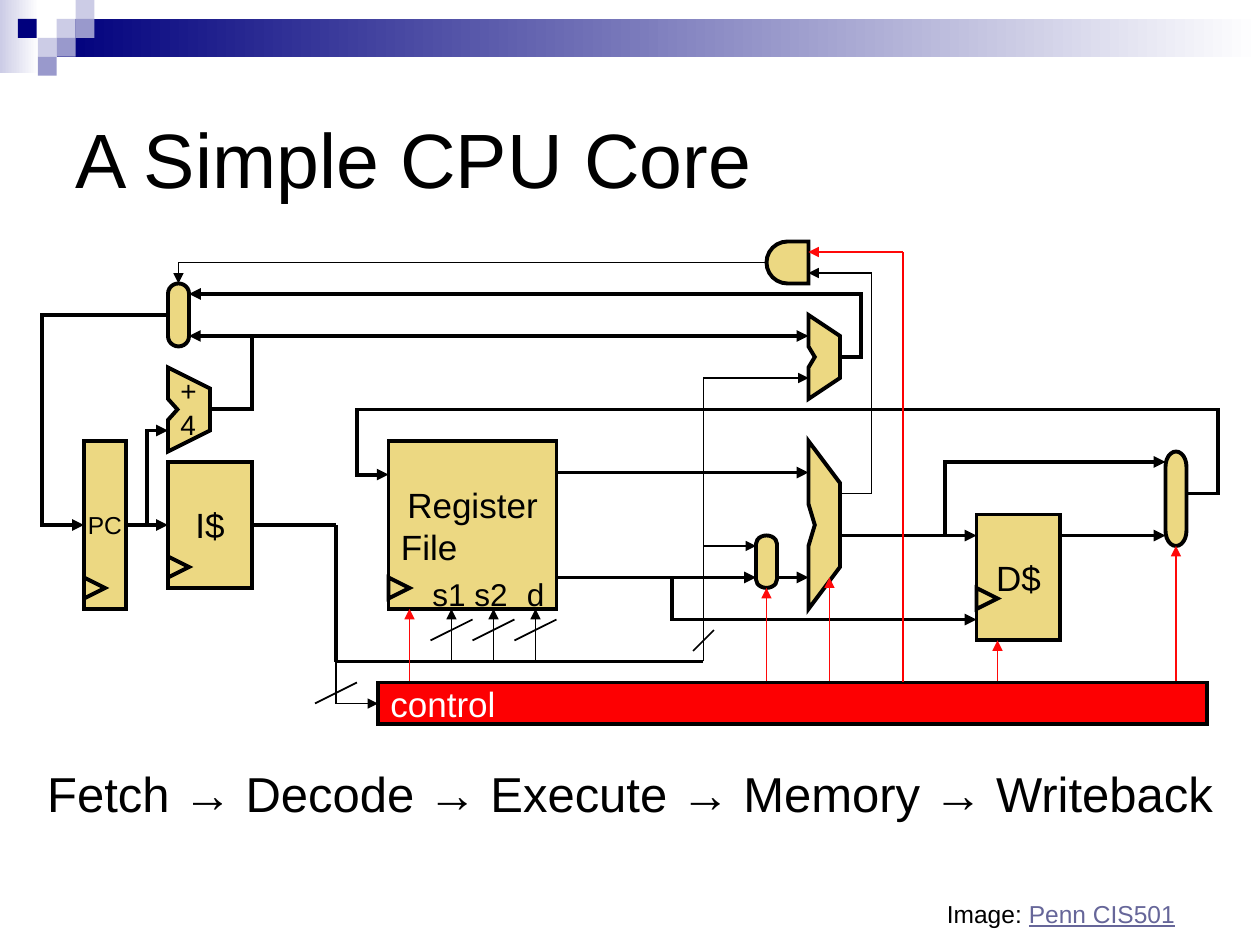
from dataclasses import dataclass

from lxml import etree
from pptx import Presentation
from pptx.dml.color import RGBColor
from pptx.enum.shapes import MSO_CONNECTOR, MSO_SHAPE
from pptx.enum.text import MSO_ANCHOR, MSO_AUTO_SIZE, PP_ALIGN
from pptx.oxml.ns import qn
from pptx.util import Pt

PX = 7620  # 120 px to the inch
RECT, TRI = MSO_SHAPE.RECTANGLE, MSO_SHAPE.ISOSCELES_TRIANGLE
PILL, GATE = MSO_SHAPE.FLOWCHART_TERMINATOR, MSO_SHAPE.FLOWCHART_DELAY
STRAIGHT = MSO_CONNECTOR.STRAIGHT
LEFT, MID = PP_ALIGN.LEFT, PP_ALIGN.CENTER
TOP, CENTRE = MSO_ANCHOR.TOP, MSO_ANCHOR.MIDDLE
GROW = MSO_AUTO_SIZE.SHAPE_TO_FIT_TEXT
BLACK, WHITE, GOLD = "000000", "FFFFFF", "ECD882"
RED, BAR, LINK = "FF0909", "FD0002", "666699"
NAVY, LILAC, PALE = "00007D", "9999CC", "CCCCE6"
THICK, THIN = 2.25, 1


@dataclass
class Run:
    text: str
    color: str = BLACK
    under: bool = False


@dataclass
class Line:
    runs: list[Run]
    align: int = LEFT


@dataclass
class Block:
    box: tuple[int, int, int, int]
    size: int
    lines: list[Line]
    fill: str = GOLD


@dataclass
class Wire:
    dots: list[tuple[int, int]]
    width: float = THICK
    color: str = BLACK
    head: bool = False
    tail: bool = True


deck = Presentation()
deck.slide_width, deck.slide_height = 1200 * PX, 900 * PX
shapes = deck.slides.add_slide(deck.slide_layouts[6]).shapes


def rgb(code: str) -> RGBColor:
    return RGBColor.from_string(code)


def stroke(part, color: str, width: float, head=False, tail=False) -> None:
    part.line.color.rgb = rgb(color)
    part.line.width = Pt(width)
    ln = part._element.find(".//" + qn("a:ln"))
    etree.SubElement(ln, qn("a:miter"), lim="800000")
    for tag, shown in (("a:headEnd", head), ("a:tailEnd", tail)):
        if shown:
            etree.SubElement(ln, qn(tag), type="triangle")


def write(part, size: int, lines: list[Line], anchor=CENTRE, wrap=False) -> None:
    frame = part.text_frame
    frame.word_wrap, frame.vertical_anchor = wrap, anchor
    for i, line in enumerate(lines):
        para = frame.add_paragraph() if i else frame.paragraphs[0]
        para.alignment = line.align
        for item in line.runs:
            run = para.add_run()
            run.text = item.text
            run.font.name, run.font.size = "Arial", Pt(size)
            run.font.color.rgb = rgb(item.color)
            if item.under:
                run.font.underline = True


def label(box, size: int, lines: list[Line], anchor=TOP, wrap=False) -> None:
    part = shapes.add_textbox(*(v * PX for v in box))
    write(part, size, lines, anchor, wrap)
    if anchor == TOP:
        part.text_frame.auto_size = GROW


def shape(kind, box, fill: str, edge=True, turn=False):
    x, y, w, h = box
    if turn:  # the box is as seen after a quarter turn
        x, y, w, h = x + (w - h) / 2, y + (h - w) / 2, h, w
    part = shapes.add_shape(kind, *(int(v * PX) for v in (x, y, w, h)))
    part.rotation = 90 if turn else 0
    part.shadow.inherit = False
    part.fill.solid()
    part.fill.fore_color.rgb = rgb(fill)
    if edge:
        stroke(part, BLACK, THICK)
    else:
        part.line.fill.background()
    return part


def fade(box, start: str) -> None:
    part = shape(RECT, box, start, edge=False)
    part.fill.gradient()
    part.fill.gradient_angle = 0
    for stop, code in zip(part.fill.gradient_stops, (start, WHITE)):
        stop.color.rgb = rgb(code)


def outline(dots, close: bool):
    pen = shapes.build_freeform(*dots[0], scale=PX)
    pen.add_line_segments(dots[1:], close=close)
    part = pen.convert_to_shape()
    part.shadow.inherit = False
    return part


def adder(x: int, y: int, w: int, h: int, dip: int) -> None:
    cuts = ((0, 0), (0, 3), (dip, 4), (0, 5), (0, 8), (w, 6), (w, 2))
    part = outline([(x + dx, y + h * n // 8) for dx, n in cuts], True)
    part.fill.solid()
    part.fill.fore_color.rgb = rgb(GOLD)
    stroke(part, BLACK, THICK)


def draw(wire: Wire) -> None:
    if len(wire.dots) == 2:
        ends = [v * PX for dot in wire.dots for v in dot]
        part = shapes.add_connector(STRAIGHT, *ends)
    else:
        part = outline(wire.dots, False)
        part.fill.background()
    stroke(part, wire.color, wire.width, wire.head, wire.tail)
    if len(wire.dots) == 2:
        etree.SubElement(part._element.spPr, qn("a:effectLst"))


def block(item: Block) -> None:
    write(shape(RECT, item.box, item.fill), item.size, item.lines)


# Banner
fade((0, 0, 37, 70), PALE)
fade((54, 18, 1146, 36), NAVY)
for x, y, code in ((54, 18, PALE), (72, 0, PALE), (72, 18, LILAC), (36, 36, PALE),
                   (17, 18, NAVY), (54, 36, LILAC), (36, 54, LILAC)):
    shape(RECT, (x, y, 18, 18), code, edge=False)

# Title, credit and stages
label((60, 60, 1080, 180), 44, [Line([Run("A Simple CPU Core")])], CENTRE, True)
label((890, 850, 310, 41), 14,
      [Line([Run("Image: "), Run("Penn CIS501", LINK, True)])], wrap=True)
label((0, 721, 1200, 68), 28,
      [Line([Run("Fetch → Decode → Execute → Memory → Writeback")], MID)], wrap=True)

# Storage blocks, each with a clock mark
for item, tick in (
    (Block((80, 420, 40, 160), 14, [Line([Run("PC")], MID)]), 550),
    (Block((160, 440, 80, 120), 20, [Line([Run("I$")], MID)]), 530),
    (Block((370, 420, 160, 160), 20,
           [Line([Run("Register")], MID), Line([Run("File")])]), 550),
    (Block((930, 490, 80, 120), 20, [Line([Run("D$")], MID)]), 560),
):
    block(item)
    shape(TRI, (item.box[0], tick, 20, 20), GOLD, turn=True)

# Adders, selectors and the gate
for spot in ((770, 420, 30, 160, 6), (160, 350, 40, 80, 9), (770, 300, 30, 80, 6)):
    adder(*spot)
for box in ((720, 510, 20, 50), (1110, 430, 20, 90), (160, 270, 20, 60)):
    shape(PILL, box, GOLD, turn=True)
gate = shape(GATE, (730, 230, 40, 40), GOLD)
gate._element.spPr.find(qn("a:xfrm")).set("flipH", "1")

# Port names
for x, w, name in ((400, 56, "s1"), (440, 56, "s2"), (490, 41, "d")):
    label((x, 542, w, 48), 18, [Line([Run(name)])])
label((160, 350, 40, 77), 16, [Line([Run("+")]), Line([Run("4")])])

# Data paths
for dots in (
    [(120, 500), (160, 500)],
    [(530, 450), (770, 450)],
    [(530, 550), (720, 550)],
    [(740, 550), (770, 550)],
    [(140, 500), (140, 410), (160, 410)],
    [(240, 320), (770, 320)],
    [(800, 510), (930, 510)],
    [(1010, 510), (1110, 510)],
    [(160, 300), (40, 300), (40, 500), (80, 500)],
    [(200, 390), (240, 390), (240, 320), (180, 320)],
    [(640, 550), (640, 590), (930, 590)],
    [(900, 510), (900, 440), (1110, 440)],
    [(1130, 470), (1160, 470), (1160, 390), (340, 390), (340, 452), (370, 452)],
    [(800, 340), (820, 340), (820, 280), (180, 280)],
):
    draw(Wire(dots))
for dots in ([(240, 500), (320, 500)], [(320, 630), (670, 630)], [(320, 630), (320, 500)]):
    draw(Wire(dots, tail=False))

# Thin paths
for dots in (
    [(730, 250), (170, 250), (170, 270)],
    [(670, 630), (670, 520), (720, 520)],
    [(800, 470), (830, 470), (830, 260), (770, 260)],
    [(670, 520), (670, 360), (770, 360)],
    [(320, 630), (320, 670), (360, 670)],
):
    draw(Wire(dots, THIN))

# Register ports and bus slashes
for x in (430, 470, 510):
    draw(Wire([(x, 630), (x, 580)], THIN))
    draw(Wire([(x + 20, 590), (x - 20, 610)], THIN, tail=False))
for dots in ([(680, 600), (660, 620)], [(340, 650), (300, 670)]):
    draw(Wire(dots, THIN, tail=False))

# Control unit and its signals
for x, y in ((390, 580), (790, 550), (730, 560), (950, 610), (1120, 520)):
    draw(Wire([(x, 650), (x, y)], THIN, RED))
draw(Wire([(770, 240), (860, 240)], THIN, RED, head=True, tail=False))
block(Block((360, 650, 790, 40), 20, [Line([Run("control", WHITE)])], BAR))
draw(Wire([(860, 240), (860, 650)], THIN, BAR, tail=False))

deck.save("out.pptx")
